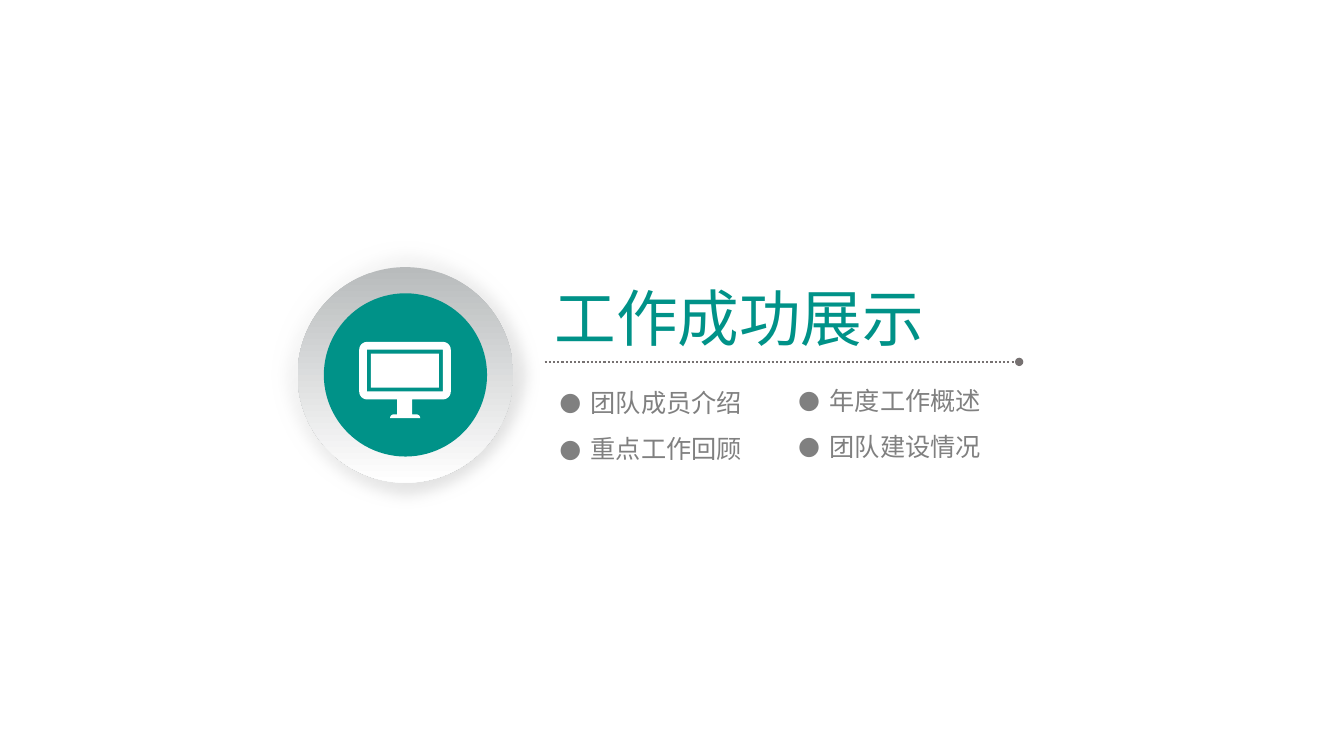
from dataclasses import dataclass
from math import cos, radians, sin

from lxml.etree import SubElement
from pptx import Presentation
from pptx.dml.color import RGBColor as Rgb
from pptx.enum.dml import MSO_LINE_DASH_STYLE as Dash
from pptx.enum.shapes import MSO_CONNECTOR as Connector, MSO_SHAPE as Shape
from pptx.enum.text import MSO_AUTO_SIZE as AutoSize
from pptx.oxml.ns import qn
from pptx.util import Pt


@dataclass(frozen=True)
class Theme:
    teal: str = "009288"
    rule: str = "767171"
    grey: str = "808080"
    halo: str = "D9D9D9"
    ring: str = "B8BBBC"
    white: str = "FFFFFF"
    title_font: str = "Noto Sans CJK SC"
    item_font: str = "Roboto Condensed"
    title_size: int = 44
    item_size: int = 18


THEME = Theme()
TOPICS = [  # left, top, step and topics of each column
    (392.4, 272.9, 33.1, ["团队成员介绍", "重点工作回顾"]),
    (563.0, 271.4, 33.1, ["年度工作概述", "团队建设情况"]),
]


def add_text(page, frame, text, font, size, color, bullet=None):
    box = page.shapes.add_textbox(*map(Pt, frame))
    box.text_frame.word_wrap = False
    box.text_frame.auto_size = AutoSize.SHAPE_TO_FIT_TEXT
    para = box.text_frame.paragraphs[0]
    para.text = text
    props = para._p.get_or_add_pPr()
    if bullet:
        props.set("marL", str(Pt(22.5)))
        props.set("indent", str(-Pt(22.5)))
        SubElement(props, qn("a:buFont")).set("typeface", font)
        SubElement(props, qn("a:buChar")).set("char", bullet)
    para.font.name = font
    para.font.size = Pt(size)
    para.font.color.rgb = Rgb.from_string(color)
    east_asian = SubElement(props.find(qn("a:defRPr")), qn("a:ea"))
    east_asian.set("typeface", font)


def add_rule(page, left, right, y):
    rule = page.shapes.add_connector(
        Connector.STRAIGHT, Pt(left), Pt(y), Pt(right), Pt(y))
    rule.line.color.rgb = Rgb.from_string(THEME.rule)
    rule.line.width = Pt(1.5)
    rule.line.dash_style = Dash.ROUND_DOT
    SubElement(rule.line._ln, qn("a:tailEnd")).set("type", "oval")
    SubElement(rule._element.spPr, qn("a:effectLst"))


def add_disc(group, kind, center, diameter, start, end=None):
    left, top = (middle - diameter / 2 for middle in center)
    disc = group.shapes.add_shape(
        kind, Pt(left), Pt(top), Pt(diameter), Pt(diameter))
    disc.shadow.inherit = False
    disc.line.fill.background()
    if end is None:
        disc.fill.solid()
        disc.fill.fore_color.rgb = Rgb.from_string(start)
    else:
        disc.fill.gradient()
        disc.fill.gradient_angle = 270
        for stop, color in zip(disc.fill.gradient_stops, (start, end)):
            stop.color.rgb = Rgb.from_string(color)
    return disc


def soften(disc, radius):
    """Make the gradient radial from the lower right and blur the edge."""
    props = disc._element.spPr
    gradient = props.find(qn("a:gradFill"))
    gradient.remove(gradient.find(qn("a:lin")))
    radial = SubElement(gradient, qn("a:path"))
    radial.set("path", "circle")
    focus = SubElement(radial, qn("a:fillToRect"))
    focus.set("l", "100000")
    focus.set("t", "100000")
    effects = props.find(qn("a:effectLst"))
    SubElement(effects, qn("a:softEdge")).set("rad", str(Pt(radius)))


def corner(x, y, radius, start):
    """Points of a quarter circle, clockwise from the start angle."""
    angles = [radians(start + step * 15) for step in range(7)]
    return [(x + radius * cos(a), y + radius * sin(a)) for a in angles]


def rectangle(left, top, right, bottom):
    return [(left, top), (right, top), (right, bottom), (left, bottom)]


def add_monitor(group):
    left, top, right, bottom = 256.6, 244.2, 322.0, 285.3
    neck_left, neck_right, neck_bottom = 283.7, 294.5, 296.0
    foot_left, foot_right, foot_bottom = 278.6, 300.2, 298.7
    bend, toe = 5.6, 2.7
    outline = [
        *corner(left + bend, top + bend, bend, 180),
        *corner(right - bend, top + bend, bend, 270),
        *corner(right - bend, bottom - bend, bend, 0),
        (neck_right, bottom), (neck_right, neck_bottom),
        *corner(foot_right - toe, foot_bottom, toe, 270),
        *corner(foot_left + toe, foot_bottom, toe, 180),
        (neck_left, neck_bottom), (neck_left, bottom),
        *corner(left + bend, bottom - bend, bend, 90),
    ]
    bezel = rectangle(262.1, 249.7, 316.3, 279.6)[::-1]
    screen = rectangle(265.0, 252.6, 313.6, 276.9)
    builder = None
    for contour in (outline, bezel, screen):
        first, *rest = [(Pt(x), Pt(y)) for x, y in contour]
        if builder is None:
            builder = group.shapes.build_freeform(*first)
        else:
            builder.move_to(*first)
        builder.add_line_segments(rest, close=True)
    monitor = builder.convert_to_shape()
    monitor.shadow.inherit = False
    monitor.fill.solid()
    monitor.fill.fore_color.rgb = Rgb.from_string(THEME.white)
    monitor.line.fill.background()


def add_emblem(page):
    center = (289.6, 267.8)
    group = page.shapes.add_group_shape()
    halo = add_disc(group, Shape.OVAL, center, 193, THEME.halo, THEME.white)
    soften(halo, 10)
    ring = add_disc(group, Shape.ROUNDED_RECTANGLE, center, 154,
                    THEME.ring, THEME.white)
    ring.adjustments[0] = 0.5
    add_disc(group, Shape.OVAL, center, 116.6, THEME.teal)
    add_monitor(group)


def main():
    deck = Presentation()
    deck.slide_width, deck.slide_height = Pt(960), Pt(540)
    page = deck.slides.add_slide(deck.slide_layouts[6])

    # Heading and its dotted rule
    add_rule(page, 389, 728, 258.5)
    add_text(page, (389, 196.6, 280.8, 60.5), "工作成功展示",
             THEME.title_font, THEME.title_size, THEME.teal)

    # Topics in two columns
    for left, top, step, topics in TOPICS:
        for row, topic in enumerate(topics):
            add_text(page, (left, top + row * step, 146, 29), topic,
                     THEME.item_font, THEME.item_size, THEME.grey, "●")

    # Round emblem with the monitor
    add_emblem(page)
    deck.save("out.pptx")


if __name__ == "__main__":
    main()
